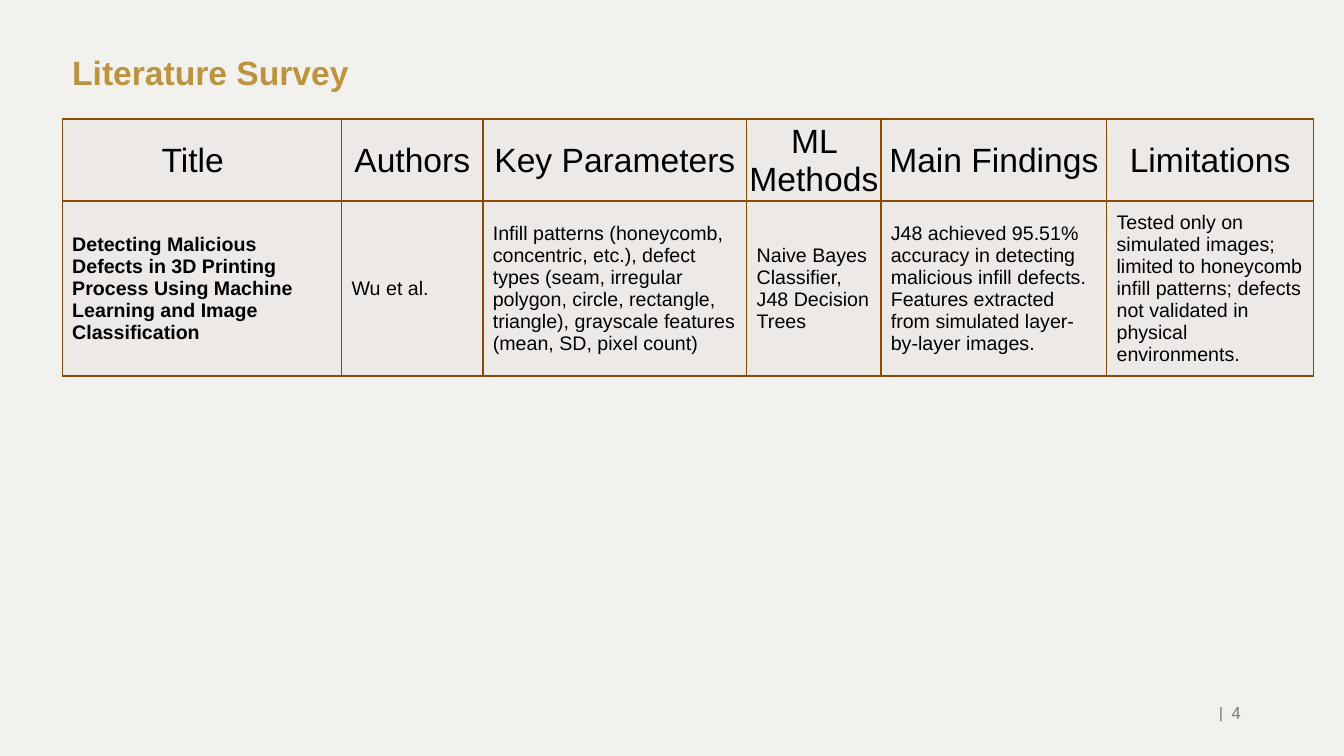
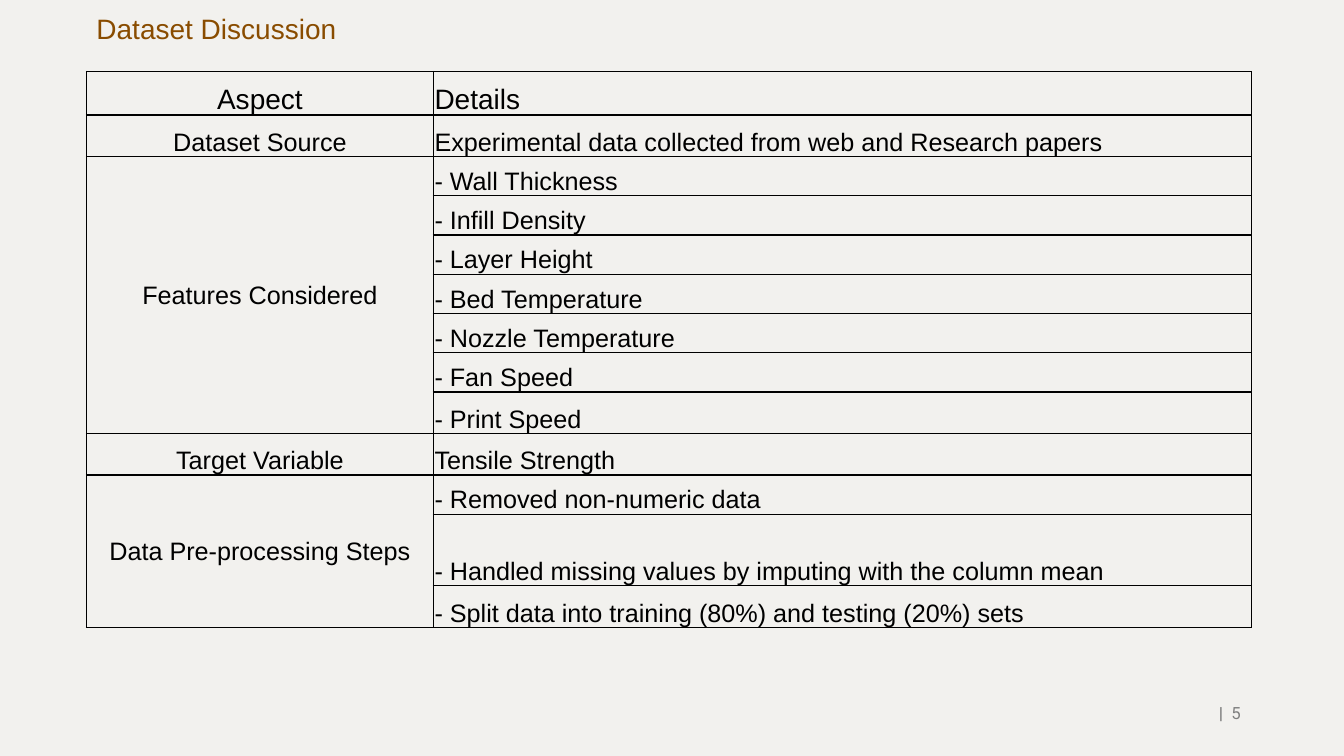
import pptx
import pptx.dml.color
import pptx.enum.text
import pptx.util
from lxml import etree

Cm, Pt = pptx.util.Cm, pptx.util.Pt
ALIGN, ANCHOR = pptx.enum.text.PP_ALIGN, pptx.enum.text.MSO_ANCHOR
NS = "http://schemas.openxmlformats.org/drawingml/2006/main"

# Shared look
PAPER, INK, BROWN, GOLD = "F2F1EE", "000000", "894C00", "BC933E"
CELL, GREY = "EDE9E7", "7F7F7F"
INSET = (0.25, 0.13, 0.25, 0.13)
TIGHT = (0.03, 0.03, 0.03, 0)


def color(code):
    return pptx.dml.color.RGBColor.from_string(code)


def text(frame, words, size=18, font="Arial", ink=INK, bold=False,
         align=ALIGN.LEFT):
    """Add words as a run at the end of the first paragraph."""
    para = frame.paragraphs[0]
    para.alignment = align
    run = para.add_run()
    run.text = words
    run.font.size, run.font.name, run.font.bold = Pt(size), font, bold
    run.font.color.rgb = color(ink)


def place(shape, box):
    shape.left, shape.top, shape.width, shape.height = map(Cm, box)


def pad(item, inset):
    (item.margin_left, item.margin_top,
     item.margin_right, item.margin_bottom) = map(Cm, inset)


def border(cell, ink):
    """Draw a 1 pt line on all four sides of a cell."""
    props = cell._tc.get_or_add_tcPr()
    for side in ("lnL", "lnR", "lnT", "lnB"):
        line = etree.SubElement(props, f"{{{NS}}}{side}", w=str(Pt(1)))
        fill = etree.SubElement(line, f"{{{NS}}}solidFill")
        etree.SubElement(fill, f"{{{NS}}}srgbClr", val=ink)


def page(prs, title, number, box, **style):
    """Start a slide with its title and page number."""
    slide = prs.slides.add_slide(prs.slide_layouts[5])
    head = slide.shapes.title
    place(head, box)
    frame = head.text_frame
    frame.word_wrap = True
    frame.auto_size = pptx.enum.text.MSO_AUTO_SIZE.NONE
    frame.vertical_anchor = ANCHOR.TOP
    pad(frame, INSET)
    text(frame, title, **style)

    # Page number
    foot = slide.shapes.add_textbox(*map(Cm, (30, 17.45, 1.52, 1.04))).text_frame
    foot.word_wrap = True
    foot.vertical_anchor = ANCHOR.MIDDLE
    pad(foot, INSET)
    for words, bold in (("|  ", True), (str(number), False)):
        text(foot, words, size=12, font="Roboto", ink=GREY, bold=bold,
             align=ALIGN.RIGHT)
    return slide


def grid(slide, left, top, cols, rows, ink, fill=None):
    """Add an empty ruled table with the given column and row sizes."""
    box = (left, top, sum(cols), sum(rows))
    table = slide.shapes.add_table(len(rows), len(cols), *map(Cm, box)).table
    table.first_row = table.horz_banding = False
    for col, width in zip(table.columns, cols):
        col.width = Cm(width)
    for row, height in zip(table.rows, rows):
        row.height = Cm(height)
    for cell in table.iter_cells():
        border(cell, ink)
        if fill:
            cell.fill.solid()
            cell.fill.fore_color.rgb = color(fill)
        else:
            cell.fill.background()
    return table


def write(cell, words, inset=TIGHT, anchor=ANCHOR.MIDDLE, **style):
    pad(cell, inset)
    cell.vertical_anchor = anchor
    text(cell.text_frame, words, **style)


def survey(prs):
    slide = page(prs, "Literature Survey", 4, (1.57, 1.17, 19.28, 1.27),
                 size=24, ink=GOLD, bold=True)
    # Heading, column width, entry
    parts = [
        ("Title", 7.04, "Detecting Malicious Defects in 3D Printing Process "
         "Using Machine Learning and Image Classification"),
        ("Authors", 3.56, "Wu et al."),
        ("Key Parameters", 6.65, "Infill patterns (honeycomb, concentric, "
         "etc.), defect types (seam, irregular polygon, circle, rectangle, "
         "triangle), grayscale features (mean, SD, pixel count)"),
        ("ML Methods", 3.38, "Naive Bayes Classifier, J48 Decision Trees"),
        ("Main Findings", 5.69, "J48 achieved 95.51% accuracy in detecting "
         "malicious infill defects. Features extracted from simulated "
         "layer-by-layer images."),
        ("Limitations", 5.21, "Tested only on simulated images; limited to "
         "honeycomb infill patterns; defects not validated in physical "
         "environments."),
    ]
    table = grid(slide, 1.57, 3, [part[1] for part in parts], [2.06, 4.39],
                 BROWN, CELL)
    for i, (head, _, entry) in enumerate(parts):
        # The first heading sits a little left of centre
        inset = (0.03, 0.03, 0.5, 0) if i == 0 else TIGHT
        write(table.cell(0, i), head, inset, size=24, align=ALIGN.CENTER)
        write(table.cell(1, i), entry, INSET, size=14, bold=i == 0)


def dataset(prs):
    slide = page(prs, "Dataset Discussion", 5, (2.18, 0.15, 19.33, 1.12),
                 size=20, ink=BROWN)
    # Aspect and its details
    groups = [
        ("Aspect", ["Details"]),
        ("Dataset Source",
         ["Experimental data collected from web and Research papers"]),
        ("Features Considered",
         ["- Wall Thickness", "- Infill Density", "- Layer Height",
          "- Bed Temperature", "- Nozzle Temperature", "- Fan Speed",
          "- Print Speed"]),
        ("Target Variable", ["Tensile Strength"]),
        ("Data Pre-processing Steps",
         ["- Removed non-numeric data",
          "- Handled missing values by imputing with the column mean",
          "- Split data into training (80%) and testing (20%) sets"]),
    ]
    rows = [1.1, 1.04] + [0.99] * 6 + [1.05, 1.04, 0.99, 1.8, 1.05]
    table = grid(slide, 2.18, 1.8, [8.74, 20.62], rows, INK)
    top = 0
    for aspect, details in groups:
        size = 20 if top == 0 else 18
        first, many = table.cell(top, 0), len(details) > 1
        if many:
            first.merge(table.cell(top + len(details) - 1, 0))
        write(first, aspect, anchor=ANCHOR.MIDDLE if many else ANCHOR.BOTTOM,
              size=size, align=ALIGN.CENTER)
        for i, detail in enumerate(details, top):
            write(table.cell(i, 1), detail, anchor=ANCHOR.BOTTOM, size=size)
        top += len(details)


def main():
    prs = pptx.Presentation()
    prs.slide_width, prs.slide_height = Cm(33.87), Cm(19.05)
    back = prs.slide_master.background.fill
    back.solid()
    back.fore_color.rgb = color(PAPER)
    survey(prs)
    dataset(prs)
    prs.save("out.pptx")


if __name__ == "__main__":
    main()
